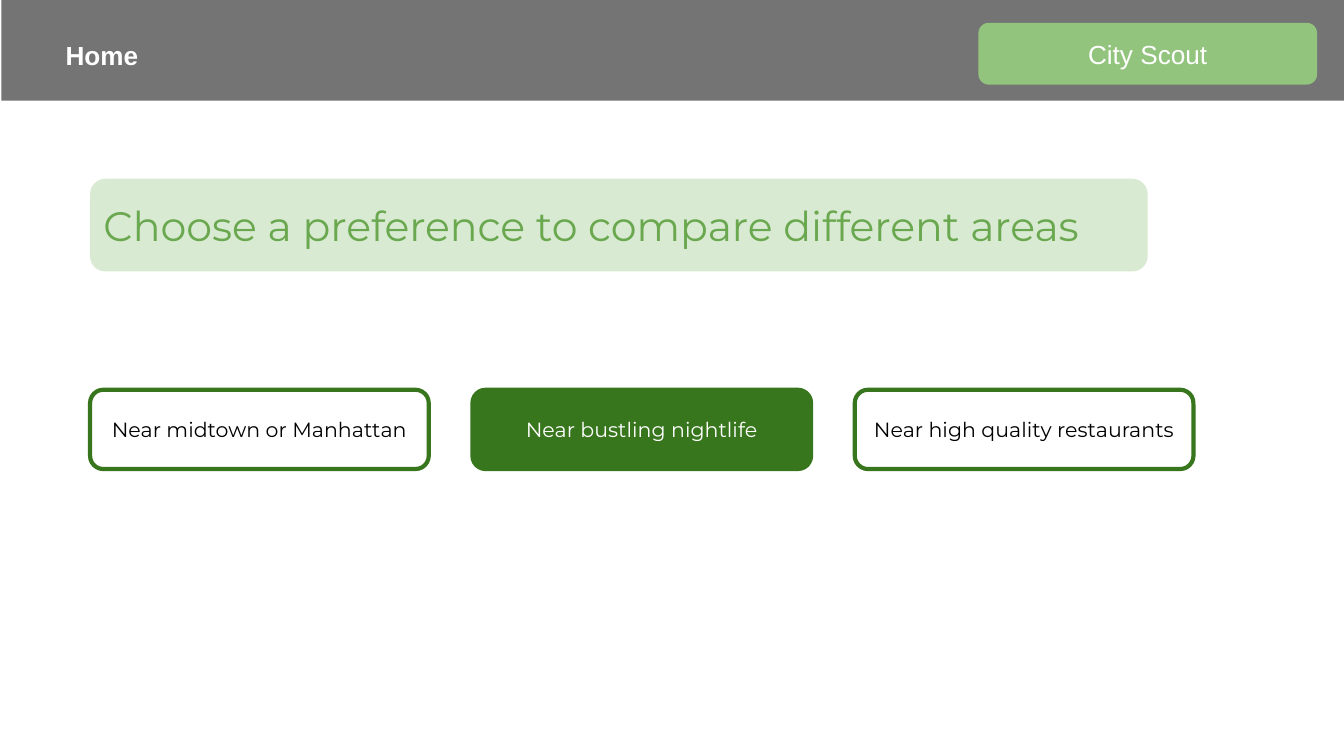
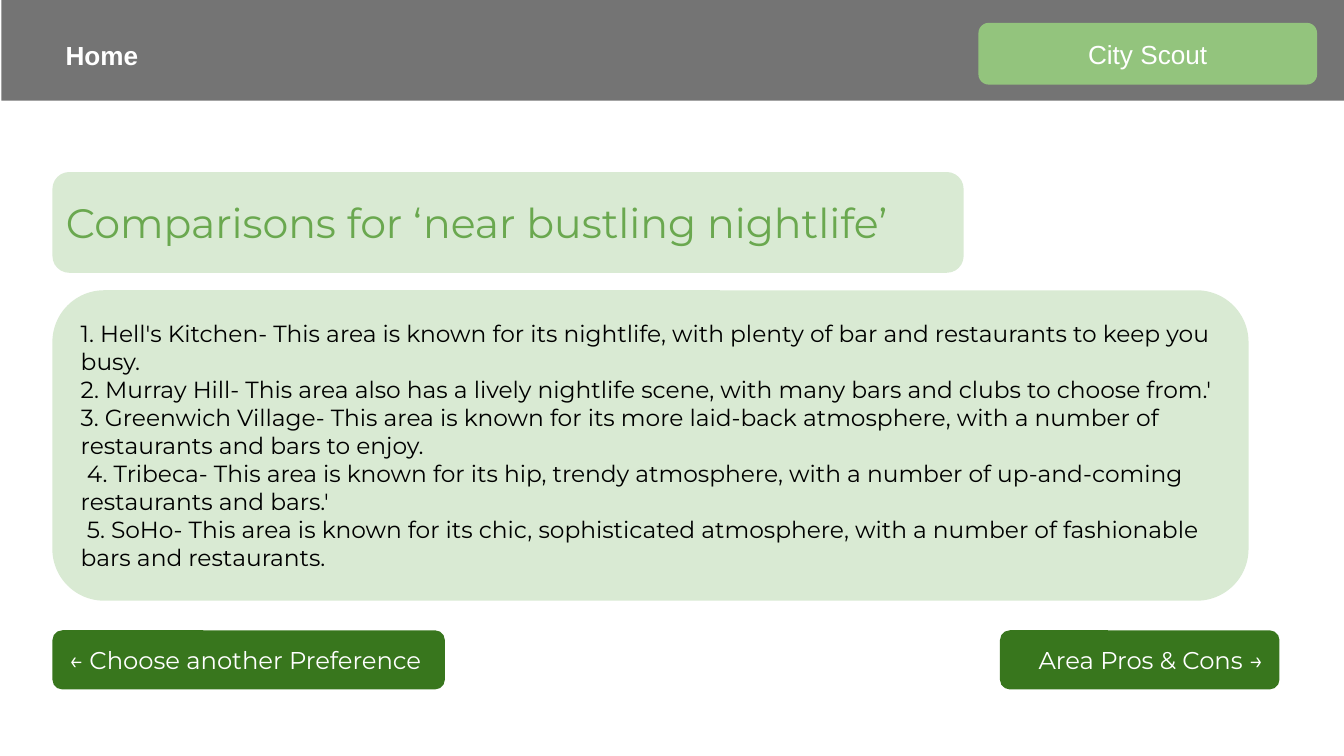
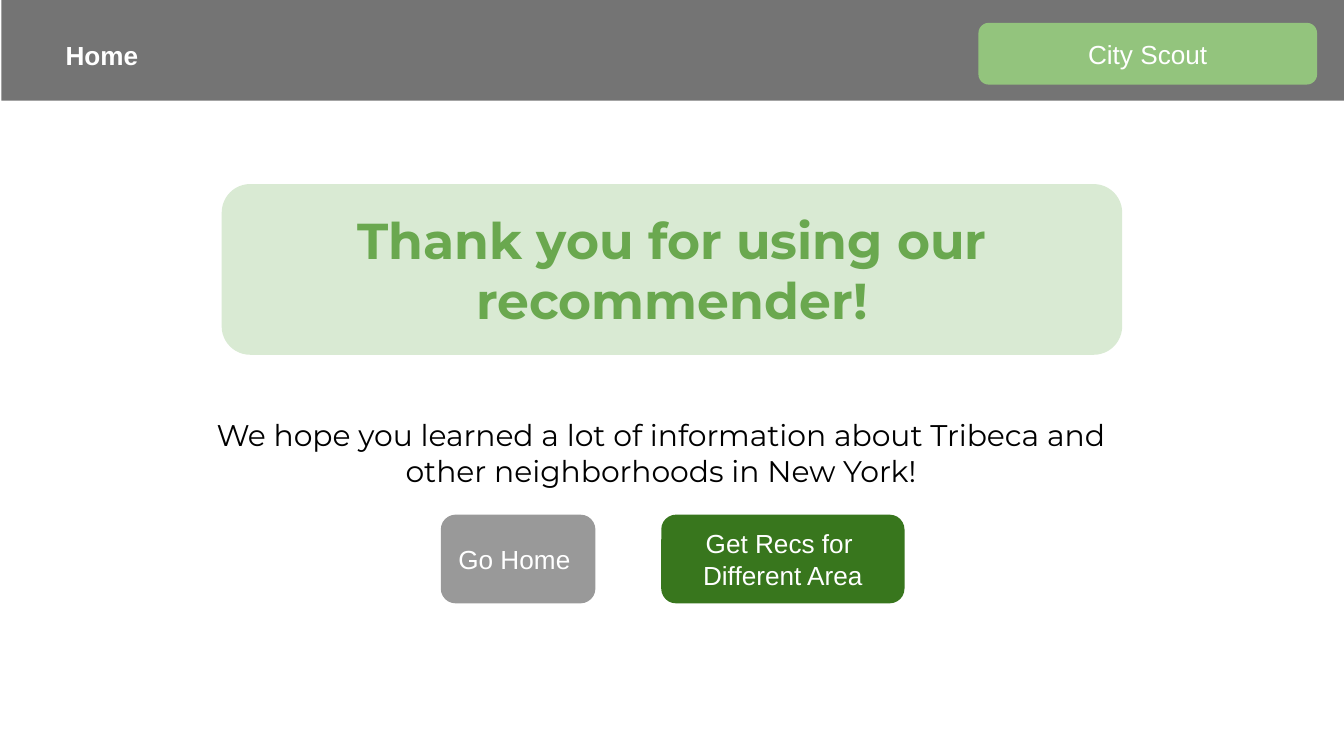
from pptx import Presentation
from pptx.dml.color import RGBColor
from pptx.enum.shapes import MSO_SHAPE as SHAPE
from pptx.enum.text import MSO_ANCHOR as ANCHOR, MSO_AUTO_SIZE as AUTO, PP_ALIGN as ALIGN
from pptx.oxml.ns import qn
from pptx.util import Inches, Pt
from lxml import etree

# Content
BRAND = "City Scout"
HOME = "Home"
CHOOSE_TITLE = "Choose a preference to compare different areas"
PREFERENCES = [
    # text, is selected
    ("Near midtown or Manhattan", False),
    ("Near bustling nightlife", True),
    ("Near high quality restaurants ", False),
]
COMPARE_TITLE = "Comparisons for ‘near bustling nightlife’"
AREAS = [
    "1. Hell's Kitchen- This area is known for its nightlife, with plenty of bar and "
    "restaurants to keep you busy.",
    "2. Murray Hill- This area also has a lively nightlife scene, with many bars and "
    "clubs to choose from.'",
    "3. Greenwich Village- This area is known for its more laid-back atmosphere, with "
    "a number of restaurants and bars to enjoy.",
    " 4. Tribeca- This area is known for its hip, trendy atmosphere, with a number of "
    "up-and-coming restaurants and bars.'",
    " 5. SoHo- This area is known for its chic, sophisticated atmosphere, with a number "
    "of fashionable bars and restaurants.",
]
BACK = "← Choose another Preference"
NEXT = "Area Pros & Cons →"
THANKS_TITLE = "Thank you for using our recommender!"
THANKS_NOTE = ("We hope you learned a lot of information about Tribeca and other "
               "neighborhoods in New York!")
GO_HOME = "Go Home"
NEW_AREA = ["Get Recs for ", "Different Area"]

# Shared style
WIDTH, HEIGHT = 10, 5.625
MARGIN = 0.39
INSET = 0.1
CORNER = 0.167
BAND_HEIGHT = 0.75
BAND_OPACITY = 83
TITLE_ONLY = 5
SANS, DISPLAY = "Arial", "Montserrat"
WHITE = RGBColor(0xFF, 0xFF, 0xFF)
BLACK = RGBColor(0x00, 0x00, 0x00)
DARK_GREY = RGBColor(0x59, 0x59, 0x59)
GREY = RGBColor(0x99, 0x99, 0x99)
PALE_GREEN = RGBColor(0xD9, 0xEA, 0xD3)
LIGHT_GREEN = RGBColor(0x93, 0xC4, 0x7D)
GREEN = RGBColor(0x6A, 0xA8, 0x4F)
DARK_GREEN = RGBColor(0x38, 0x76, 0x1D)


def write(shape, lines, size, color, font=DISPLAY, align=ALIGN.LEFT, bold=False,
          anchor=ANCHOR.MIDDLE):
    """Fill a shape with one paragraph per line, all in one style."""
    frame = shape.text_frame
    frame.text = lines if isinstance(lines, str) else "\n".join(lines)
    frame.word_wrap = True
    frame.auto_size = AUTO.NONE
    frame.vertical_anchor = anchor
    frame.margin_left = frame.margin_right = Inches(INSET)
    frame.margin_top = frame.margin_bottom = Inches(INSET)
    for para in frame.paragraphs:
        para.alignment = align
        for span in para.runs:
            span.font.name, span.font.size = font, Pt(size)
            span.font.bold, span.font.color.rgb = bold, color


def add_panel(page, area, fill, outline=None, kind=SHAPE.ROUNDED_RECTANGLE):
    panel = page.shapes.add_shape(kind, *map(Inches, area))
    panel.shadow.inherit = False
    panel.fill.solid()
    panel.fill.fore_color.rgb = fill
    if kind == SHAPE.ROUNDED_RECTANGLE:
        panel.adjustments[0] = CORNER
    if outline is None:
        panel.line.fill.background()
    else:
        panel.line.color.rgb = outline
        panel.line.width = Pt(2.25)
    return panel


def add_label(page, area, lines, size, color, **style):
    box = page.shapes.add_textbox(*map(Inches, area))
    write(box, lines, size, color, anchor=ANCHOR.TOP, **style)


def add_page(deck, title, area, size=22, **style):
    """Start a slide with the top band and a title on a pale panel."""
    page = deck.slides.add_slide(deck.slide_layouts[TITLE_ONLY])
    band = add_panel(page, (0.01, 0, WIDTH, BAND_HEIGHT), DARK_GREY, kind=SHAPE.RECTANGLE)
    color = band.fill._xPr.find(".//" + qn("a:srgbClr"))
    etree.SubElement(color, qn("a:alpha"), val=str(BAND_OPACITY * 1000))
    add_label(page, (MARGIN, 0.19, 0.8, 0.44), HOME, 14, WHITE, font=SANS, bold=True)
    badge = add_panel(page, (7.28, 0.17, 2.52, 0.46), LIGHT_GREEN)
    write(badge, BRAND, 14, WHITE, font=SANS, align=ALIGN.CENTER)

    add_panel(page, area, PALE_GREEN)
    heading = page.shapes.title
    heading.left, heading.top, heading.width, heading.height = map(Inches, area)
    write(heading, title, size, GREEN, **style)
    page.shapes._spTree.append(heading._element)  # bring above its panel
    return page


def build_choice(deck):
    left, top, width, height, gap = 0.67, 2.9, 2.52, 0.59, 0.325
    page = add_page(deck, CHOOSE_TITLE, (left, 1.33, 7.87, 0.69))
    for column, (text, selected) in enumerate(PREFERENCES):
        area = (left + column * (width + gap), top, width, height)
        button = add_panel(page, area, DARK_GREEN if selected else WHITE, DARK_GREEN)
        write(button, text, 11, WHITE if selected else BLACK, align=ALIGN.CENTER)


def build_comparison(deck):
    page = add_page(deck, COMPARE_TITLE, (MARGIN, 1.28, 6.78, 0.75))
    write(add_panel(page, (MARGIN, 2.16, 8.9, 2.31), PALE_GREEN), AREAS, 12.5, BLACK)
    for text, left, width, align in [(BACK, MARGIN, 2.92, ALIGN.LEFT),
                                     (NEXT, 7.44, 2.08, ALIGN.RIGHT)]:
        button = add_panel(page, (left, 4.69, width, 0.44), DARK_GREEN)
        write(button, text, 13, WHITE, align=align)


def build_thanks(deck):
    width = 6.7
    page = add_page(deck, THANKS_TITLE, ((WIDTH - width) / 2, 1.37, width, 1.27),
                    size=27, align=ALIGN.CENTER, bold=True)
    add_label(page, (1.37, 3, 7.1, 0.74), THANKS_NOTE, 16, BLACK, align=ALIGN.CENTER)
    for lines, left, width, fill, align in [
            (GO_HOME, 3.28, 1.15, GREY, ALIGN.LEFT),
            (NEW_AREA, 4.92, 1.81, DARK_GREEN, ALIGN.CENTER)]:
        button = add_panel(page, (left, 3.83, width, 0.66), fill)
        write(button, lines, 14, WHITE, font=SANS, align=align)


def main():
    deck = Presentation()
    deck.slide_width, deck.slide_height = Inches(WIDTH), Inches(HEIGHT)
    build_choice(deck)
    build_comparison(deck)
    build_thanks(deck)
    deck.save("out.pptx")


if __name__ == "__main__":
    main()
